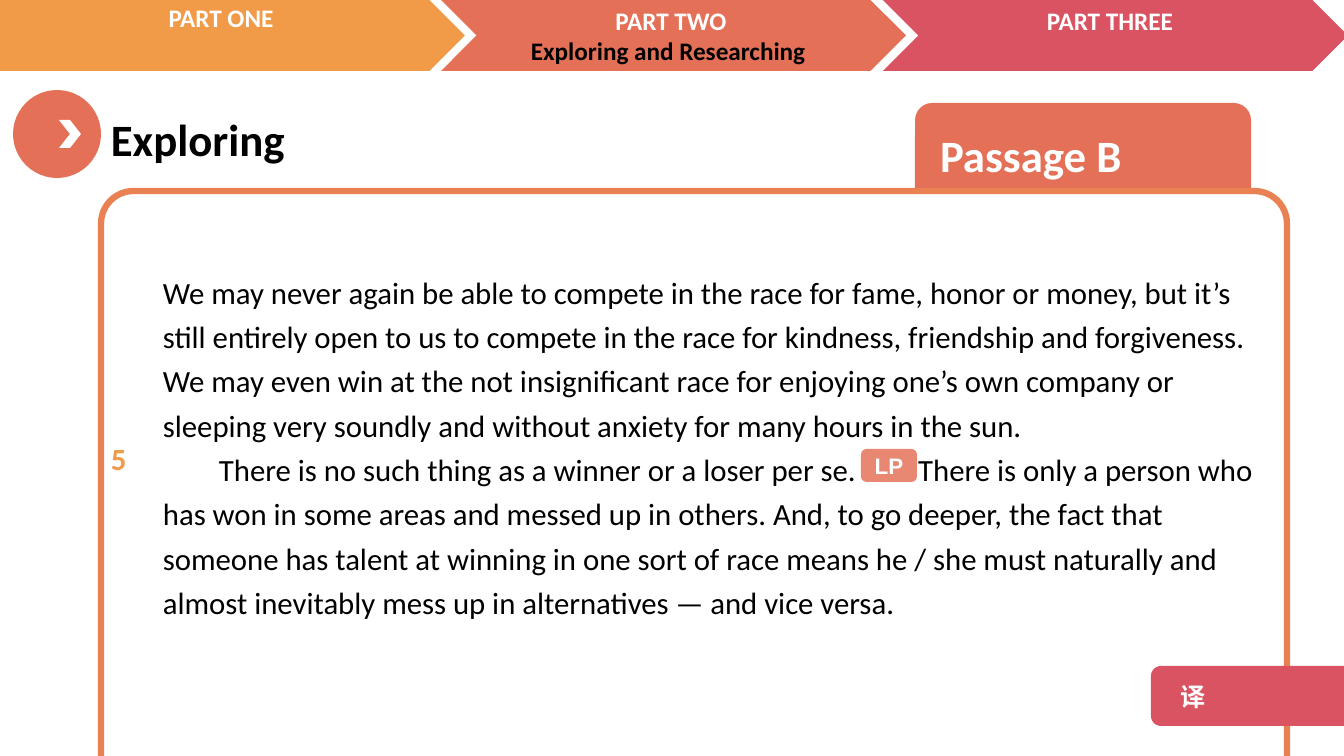
"""Build the Passage B reading slide."""
from dataclasses import dataclass
from lxml import etree
from pptx import Presentation
from pptx import util as u
from pptx.dml.color import RGBColor
from pptx.enum import shapes, text
from pptx.oxml.ns import qn


@dataclass(frozen=True)
class Theme:
    """Hold colours, fonts and type sizes."""
    white: str = "FFFFFF"
    black: str = "000000"
    gold: str = "F19B48"
    coral: str = "E47057"
    rose: str = "DA5362"
    rim: str = "EA8152"
    font: str = "Calibri"
    sans: str = "Arial"
    han: str = "Noto Sans CJK SC"
    head: int = 32
    body: int = 22
    label: int = 18
    tag: int = 16


T = Theme()
KIND = shapes.MSO_SHAPE
MID = text.PP_ALIGN.CENTER
LEFT = text.PP_ALIGN.LEFT

TAB = ("Passage B", (915, 103, 336, 103))
STEPS = [
    ((441, 0, 465, 71), T.coral),
    ((883, 0, 465, 71), T.rose),
    ((-61, 0, 526, 71), T.gold),
]
PARTS = [
    (["PART ONE"], (-9, -3, 460, 40)),
    (["PART TWO", "Exploring and Researching "], (441, 0, 460, 72)),
    (["PART THREE"], (880, 0, 460, 40)),
]
TITLE = ("Exploring", (101, 107, 489, 65))
DISC = (13, 90, 88, 88)
ARROW = (59, 120, 22, 28)
FRAME = (101, 191, 1186, 650)
PASSAGE = [
    "We may never again be able to compete in the race for fame, honor or money, "
    "but it’s still entirely open to us to compete in the race for kindness, "
    "friendship and forgiveness. We may even win at the not insignificant race for "
    "enjoying one’s own company or sleeping very soundly and without anxiety for "
    "many hours in the sun.",
    "There is no such thing as a winner or a loser per se.",
]
REST = (
    "There is only a person who has won in some areas and messed up in others. "
    "And, to go deeper, the fact that someone has talent at winning in one sort of "
    "race means he / she must naturally and almost inevitably mess up in "
    "alternatives — and vice versa."
)
PAGE = (153, 261, 1134, 365)
INDENT, SPREAD = 56, 55
COUNT = ("5", (101, 427, 51, 60))
GLOSS = ("译", (1151, 666, 214, 60))
POINT = ("LP", (861, 449, 56, 33))


def px(n):
    """Turn px into EMU."""
    return u.Emu(round(n * 914400 / 100.8))


def write(shape, lines, size, color, bold=True, align=LEFT, font=T.font, gap=None):
    """Write one paragraph per line and return the paragraphs."""
    frame = shape.text_frame
    frame.word_wrap = True
    frame.text = "\n".join(lines)
    for para in frame.paragraphs:
        para.alignment = align
        para.line_spacing = gap
        face = para.font
        face.size, face.bold, face.name = u.Pt(size), bold, font
        face.color.rgb = RGBColor.from_string(color)
        props = para._p.pPr.find(qn("a:defRPr"))
        etree.SubElement(props, qn("a:ea")).set("typeface", font)
    return frame.paragraphs


def draw(slide, kind, box, fill, line=None):
    """Draw a flat preset shape."""
    shape = slide.shapes.add_shape(kind, *map(px, box))
    shape.shadow.inherit = False
    shape.fill.solid()
    shape.fill.fore_color.rgb = RGBColor.from_string(fill)
    if line:
        shape.line.color.rgb = RGBColor.from_string(line)
        shape.line.width = u.Pt(4.5)
    else:
        shape.line.fill.background()
    return shape


def label(slide, lines, box, size, color, **style):
    """Place a text box."""
    return write(slide.shapes.add_textbox(*map(px, box)), lines, size, color, **style)


def main():
    """Compose and save the slide."""
    deck = Presentation()
    deck.slide_width, deck.slide_height = px(1344), px(756)
    slide = deck.slides.add_slide(deck.slide_layouts[6])

    name, box = TAB
    tab = draw(slide, KIND.ROUNDED_RECTANGLE, box, T.coral)
    tab.text_frame.margin_left = px(20)
    write(tab, [name], T.head, T.white)

    for box, fill in STEPS:
        draw(slide, KIND.CHEVRON, box, fill)
    draw(slide, KIND.OVAL, DISC, T.coral)
    draw(slide, KIND.CHEVRON, ARROW, T.white)
    name, box = TITLE
    label(slide, [name], box, T.head, T.black)
    for lines, box in PARTS:
        paras = label(slide, lines, box, T.label, T.white, align=MID)
        for para in paras[1:]:
            para.font.color.rgb = RGBColor.from_string(T.black)

    frame = draw(slide, KIND.ROUNDED_RECTANGLE, FRAME, T.white, T.rim)
    frame.adjustments[0] = 0.05
    last = label(slide, PASSAGE, PAGE, T.body, T.black, bold=False, gap=1.2)[-1]
    last._p.pPr.set("marL", "0")
    last._p.pPr.set("indent", str(px(INDENT)))
    space = last.add_run()
    space.text = " "
    space._r.get_or_add_rPr().set("spc", str(round(px(SPREAD).pt * 100)))
    last.add_run().text = REST

    name, box = COUNT
    label(slide, [name], box, T.body, T.gold, gap=1.2)

    name, box = GLOSS
    gloss = draw(slide, KIND.ROUNDED_RECTANGLE, box, T.rose)
    gloss.text_frame.margin_left = px(27)
    write(gloss, [name], T.label, T.white, font=T.han)

    name, box = POINT
    point = draw(slide, KIND.ROUNDED_RECTANGLE, box, T.coral)
    tint = point._element.spPr.find(qn("a:solidFill"))[0]
    etree.SubElement(tint, qn("a:alpha"), val="83000")
    write(point, [name], T.tag, T.white, align=MID, font=T.sans)

    deck.save("out.pptx")


if __name__ == "__main__":
    main()
